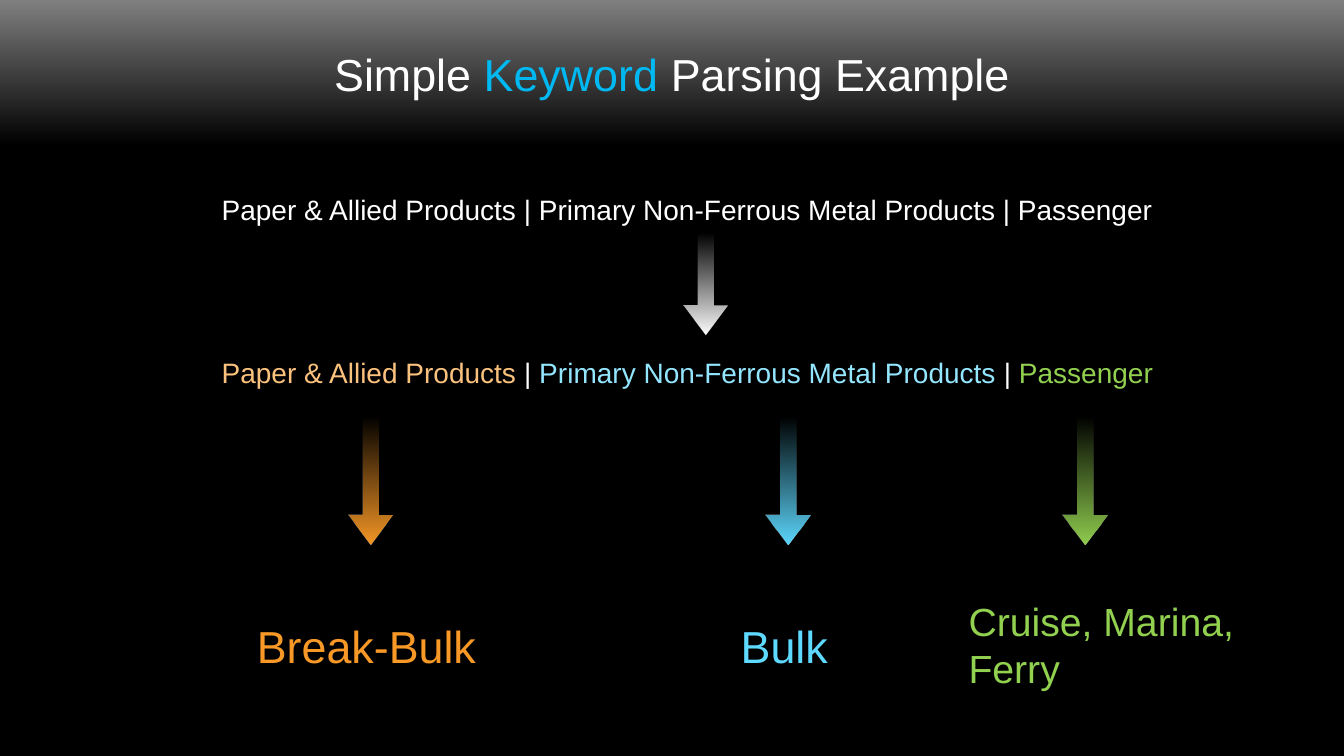
import pptx
import pptx.util
import pptx.dml.color
import pptx.enum.shapes
import pptx.enum.text
import pptx.oxml
import pptx.oxml.ns

Pt = pptx.util.Pt
SHAPE = pptx.enum.shapes.MSO_SHAPE
WIDE, HIGH = 960, 540
FONT = "Arial"
HUES = {
    "black": "000000", "gray": "808080", "white": "FFFFFF", "accent": "00B9F2",
    "peach": "FBC27D", "sky": "94E6FF", "green": "92D050",
    "orange": "F89927", "blue": "5ED9FF",
}
TITLE = [("Simple", "white"), (" Keyword ", "accent"), ("Parsing Example", "white")]
BAND = {"top": -0.7, "high": 149.8, "foot": 43, "size": 32}
TEXTS = [
    ((151.2, 133.9, 704.2, 31.7), 20,
     [("Paper & Allied Products | Primary Non-Ferrous Metal Products | Passenger", "white")]),
    ((151.2, 250.6, 683.3, 31.7), 20,
     [("Paper & Allied Products ", "peach"), ("| ", "white"),
      ("Primary Non-Ferrous Metal Products ", "sky"), ("| ", "white"),
      ("Passenger", "green")]),
    ((176.4, 438.5, 176.4, 46.1), 32, [("Break-Bulk", "orange")]),
    ((522, 438.5, 89.3, 46.1), 32, [("Bulk", "blue")]),
    ((684.7, 423.4, 250.6, 74.9), 28, [("Cruise, Marina, Ferry", "green")]),
]
THICK = 31.9
SHAFT, HEAD = 0.365, 0.679
ARROWS = [
    (504, 202.5, 73.4, "white"),
    (264.6, 343.3, 91.4, "orange"),
    (562.9, 343.3, 91.4, "blue"),
    (775.2, 343.3, 91.4, "green"),
]


def tint(name):
    return pptx.dml.color.RGBColor.from_string(HUES[name])


def blend(fill, angle, stops):
    fill.gradient()
    fill.gradient_angle = angle
    for stop, (place, name) in zip(fill.gradient_stops, stops):
        stop.position = place
        stop.color.rgb = tint(name)


def write(frame, size, runs):
    para = frame.paragraphs[0]
    para.font.name = FONT
    para.font.size = Pt(size)
    for text, name in runs:
        run = para.add_run()
        run.text = text
        run.font.color.rgb = tint(name)
    return para


def block(slide, kind, left, top, wide, high):
    shape = slide.shapes.add_shape(kind, Pt(left), Pt(top), Pt(wide), Pt(high))
    shape.shadow.inherit = False
    shape.line.fill.background()
    return shape


def banner(slide):
    band = block(slide, SHAPE.RECTANGLE, 0, BAND["top"], WIDE, BAND["high"])
    blend(band.fill, 270, [(0, "gray"), (0.7, "black")])
    frame = band.text_frame
    frame.word_wrap = False
    frame.margin_top = 0
    frame.margin_bottom = Pt(BAND["foot"])
    frame.vertical_anchor = pptx.enum.text.MSO_ANCHOR.MIDDLE
    write(frame, BAND["size"], TITLE).alignment = pptx.enum.text.PP_ALIGN.CENTER


def label(slide, box, size, runs):
    frame = slide.shapes.add_textbox(*map(Pt, box)).text_frame
    frame.word_wrap = True
    write(frame, size, runs)


def arrow(slide, mid, level, span, name):
    shape = block(slide, SHAPE.RIGHT_ARROW, mid - span / 2, level - THICK / 2, span, THICK)
    shape.rotation = 90
    shape.adjustments[0] = SHAFT
    shape.adjustments[1] = HEAD
    blend(shape.fill, 0, [(0, name), (1, name)])
    hue = next(shape.element.spPr.iter(pptx.oxml.ns.qn("a:srgbClr")))
    alpha = pptx.oxml.parse_xml(f'<a:alpha {pptx.oxml.ns.nsdecls("a")} val="0"/>')
    hue.append(alpha)


def main():
    """Build the keyword parsing slide."""
    deck = pptx.Presentation()
    deck.slide_width, deck.slide_height = Pt(WIDE), Pt(HIGH)
    slide = deck.slides.add_slide(deck.slide_layouts[6])
    back = slide.background.fill
    back.solid()
    back.fore_color.rgb = tint("black")
    banner(slide)
    for item in TEXTS:
        label(slide, *item)
    for item in ARROWS:
        arrow(slide, *item)
    deck.save("out.pptx")


if __name__ == "__main__":
    main()
